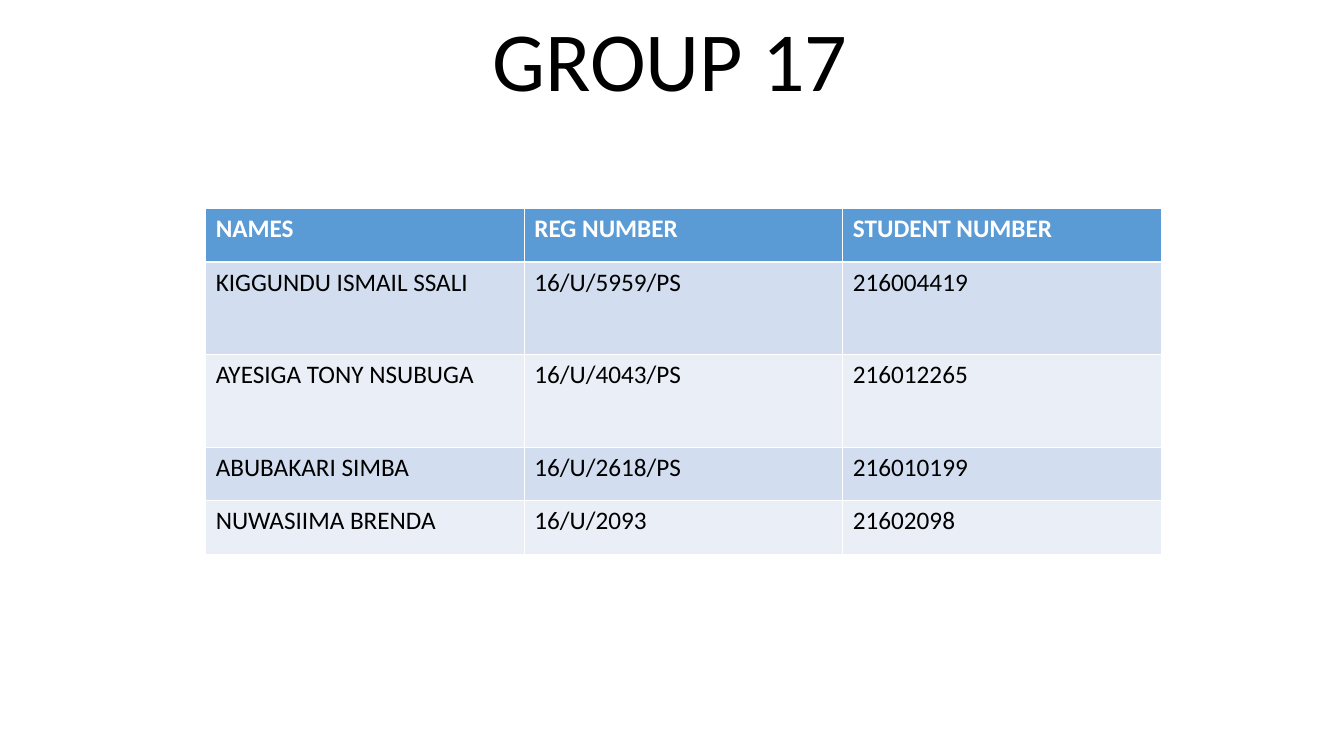
"""Build the group members slide."""
from pptx import Presentation
from pptx.dml.color import RGBColor
from pptx.enum.text import MSO_ANCHOR, PP_ALIGN
from pptx.util import Inches, Pt

CENTER, LEFT = PP_ALIGN.CENTER, PP_ALIGN.LEFT
BOTTOM = MSO_ANCHOR.BOTTOM
COLORS = {"black": "000000", "white": "FFFFFF", "header": "5B9BD5",
          "odd": "D2DEEF", "even": "EAEFF7"}
FONT = "Calibri"
BLANK_LAYOUT = 6
COLUMN_WIDTH = 3.16
SHORT_ROW, TALL_ROW = 0.53, 0.92
ROW_HEIGHTS = [SHORT_ROW, TALL_ROW, TALL_ROW, SHORT_ROW, SHORT_ROW]
MEMBERS = [
    ("NAMES", "REG NUMBER", "STUDENT NUMBER"),
    ("KIGGUNDU ISMAIL SSALI ", "16/U/5959/PS", "216004419"),
    ("AYESIGA TONY NSUBUGA", "16/U/4043/PS", "216012265"),
    ("ABUBAKARI SIMBA", "16/U/2618/PS", "216010199"),
    ("NUWASIIMA BRENDA", "16/U/2093", "21602098"),
]


def write_text(frame, text, size=18, color="black", bold=False, align=LEFT, spacing=1.0):
    """Write one formatted paragraph into a text frame."""
    frame.word_wrap = True
    paragraph = frame.paragraphs[0]
    paragraph.alignment = align
    paragraph.line_spacing = spacing
    run = paragraph.add_run()
    run.text = text
    run.font.name = FONT
    run.font.size = Pt(size)
    run.font.bold = bold
    run.font.color.rgb = RGBColor.from_string(COLORS[color])


def add_title(slide, text):
    """Add the centred slide title."""
    box = slide.shapes.add_textbox(Inches(1.77), Inches(0.14), Inches(9.75), Inches(1))
    box.text_frame.vertical_anchor = BOTTOM
    write_text(box.text_frame, text, size=60, align=CENTER, spacing=0.9)


def fill_cell(cell, text, row_index):
    """Fill a cell with its text and the colour of its row."""
    is_header = row_index == 0
    band = "header" if is_header else ("even", "odd")[row_index % 2]
    cell.fill.solid()
    cell.fill.fore_color.rgb = RGBColor.from_string(COLORS[band])
    write_text(cell.text_frame, text, color="white" if is_header else "black", bold=is_header)


def add_member_table(slide, rows):
    """Add the table of group members."""
    column_count = len(rows[0])
    table = slide.shapes.add_table(
        len(rows), column_count, Inches(2.04), Inches(2.07),
        Inches(COLUMN_WIDTH * column_count), Inches(sum(ROW_HEIGHTS))).table
    for column in table.columns:
        column.width = Inches(COLUMN_WIDTH)
    for row_index, (values, height) in enumerate(zip(rows, ROW_HEIGHTS)):
        table.rows[row_index].height = Inches(height)
        for column_index, value in enumerate(values):
            fill_cell(table.cell(row_index, column_index), value, row_index)


def main():
    """Create and save the presentation."""
    presentation = Presentation()
    presentation.slide_width = Inches(13.33)
    presentation.slide_height = Inches(7.5)
    slide = presentation.slides.add_slide(presentation.slide_layouts[BLANK_LAYOUT])
    add_title(slide, "GROUP 17")
    add_member_table(slide, MEMBERS)
    presentation.save("out.pptx")


if __name__ == "__main__":
    main()
